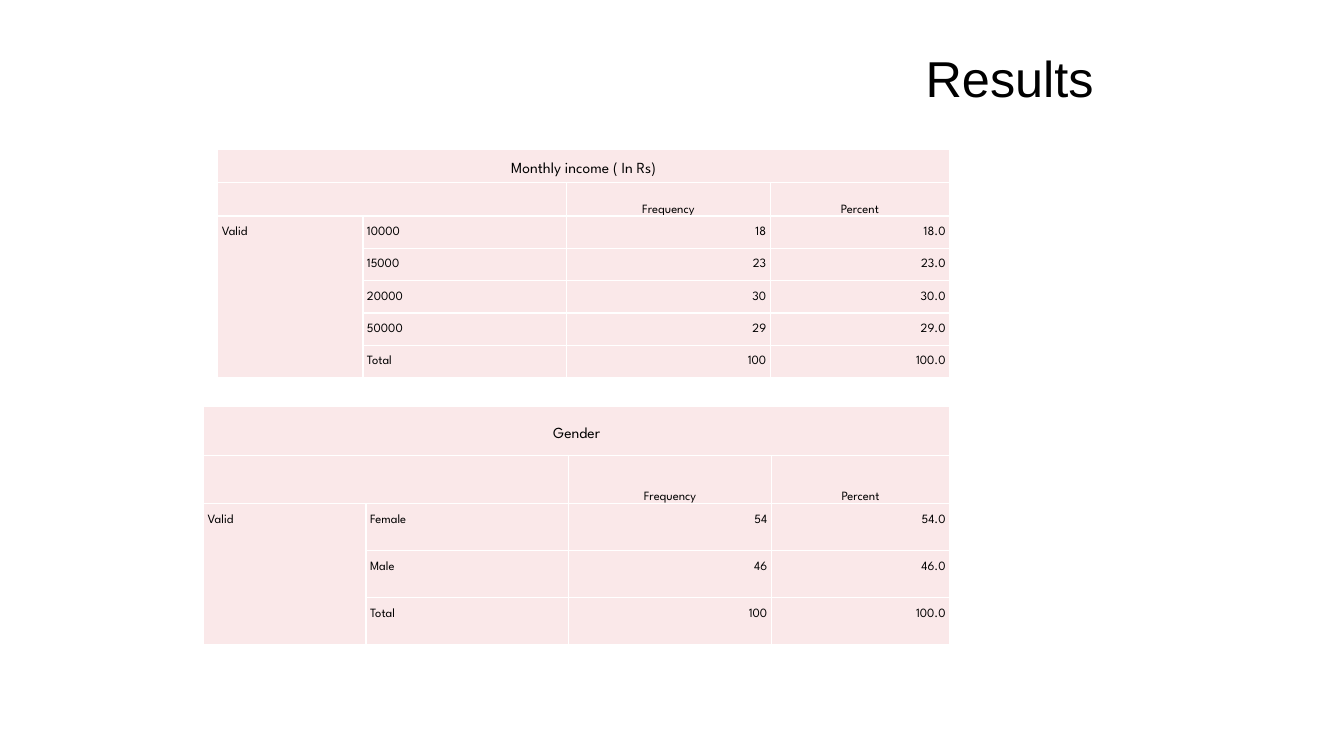
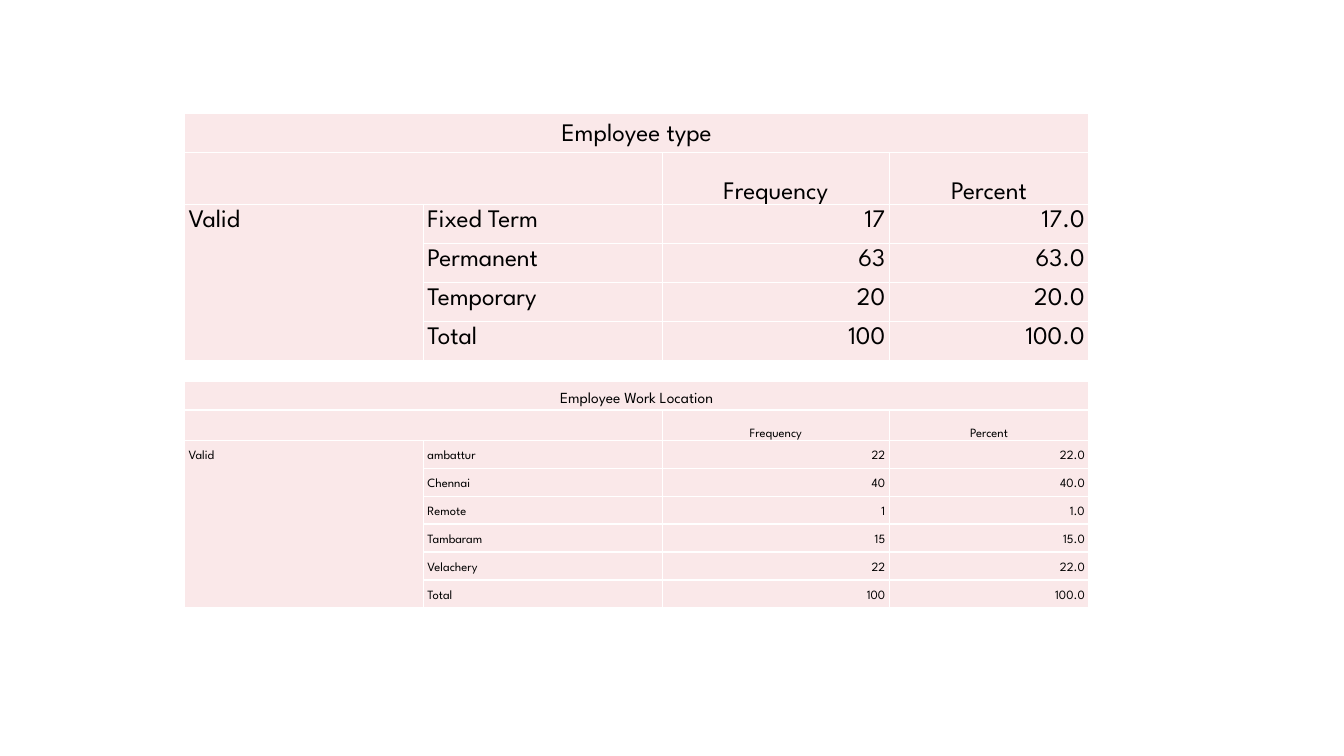
from lxml import etree
from pptx import Presentation
from pptx.dml.color import RGBColor
from pptx.enum import text
from pptx.oxml import ns
from pptx.util import Inches, Pt

BLACK = RGBColor(0x00, 0x00, 0x00)
WHITE = RGBColor(0xFF, 0xFF, 0xFF)
PINK = RGBColor(0xFA, 0xE8, 0xE9)
TABLE_FONT, TITLE_FONT = "League Spartan", "Arial"
TITLE_AREA = (9.08, 0.41, 3.24, 0.71)
CELL_INDENT = Inches(0.04)
MIN_LINE_PITCH, LEADING = 16, 2
LEFT, CENTER, RIGHT = (text.PP_ALIGN.LEFT, text.PP_ALIGN.CENTER, text.PP_ALIGN.RIGHT)
TOP, MIDDLE, BOTTOM = (text.MSO_ANCHOR.TOP, text.MSO_ANCHOR.MIDDLE, text.MSO_ANCHOR.BOTTOM)

WIDE_COLUMNS = (2.37, 2.37, 2.25, 1.98)

# Row weights (caption, header, each body row) share out the table height.
SLIDES = [
    {"title": "Results", "tables": [
        {"caption": "Gender", "at": (2.02, 4.03), "height": 2.37,
         "columns": (1.61, 2.01, 2.01, 1.77), "rows": (0.49, 0.48, 0.47),
         "sizes": (11, 9), "counts": {"Female": 54, "Male": 46}},
        {"caption": "Monthly income ( In Rs)", "at": (2.16, 1.48), "height": 2.27,
         "columns": (1.44, 2.02, 2.02, 1.78), "rows": (0.33, 0.33, 0.32),
         "sizes": (11, 9),
         "counts": {"10000": 18, "15000": 23, "20000": 30, "50000": 29}},
    ]},
    {"title": None, "tables": [
        {"caption": "Employee type", "at": (1.83, 1.13), "height": 2.45,
         "columns": WIDE_COLUMNS, "rows": (0.39, 0.52, 0.39), "sizes": (18, 18),
         "counts": {"Fixed Term": 17, "Permanent": 63, "Temporary": 20}},
        {"caption": "Employee Work Location", "at": (1.83, 3.78), "height": 2.24,
         "columns": WIDE_COLUMNS, "rows": (0.29, 0.29, 0.28), "sizes": (11, 9),
         "counts": {"ambattur": 22, "Chennai": 40, "Remote": 1,
                    "Tambaram": 15, "Velachery": 22}},
    ]},
]


def set_format(target, values):
    for name, value in values.items():
        setattr(target, name, value)


def add_borders(cell):
    properties = cell._tc.get_or_add_tcPr()
    for side in ("a:lnL", "a:lnR", "a:lnT", "a:lnB"):
        line = etree.SubElement(properties, ns.qn(side), w=str(Pt(1)))
        fill = etree.SubElement(line, ns.qn("a:solidFill"))
        etree.SubElement(fill, ns.qn("a:srgbClr"), val=str(WHITE))


def style_cell(cell, content, size, align, anchor):
    add_borders(cell)
    cell.fill.solid()
    cell.fill.fore_color.rgb = PINK
    set_format(cell, {"margin_left": 0, "margin_right": 0, "margin_top": 0,
                      "margin_bottom": 0, "vertical_anchor": anchor})
    para = cell.text_frame.paragraphs[0]
    line_pitch = Pt(max(MIN_LINE_PITCH, size + LEADING))
    set_format(para, {"alignment": align, "line_spacing": line_pitch})
    indents = para._p.get_or_add_pPr()
    for name in ("marL", "marR"):
        indents.set(name, str(CELL_INDENT))
    if content:
        span = para.add_run()
        span.text = content
        set_format(span.font, {"name": TABLE_FONT, "size": Pt(size), "bold": False})
        span.font.color.rgb = BLACK


def frequency_rows(caption, counts):
    """Return the cell texts, with percentages and a total worked out."""
    total = sum(counts.values())
    body = [["", label, str(count), f"{100 * count / total:.1f}"]
            for label, count in [*counts.items(), ("Total", total)]]
    body[0][0] = "Valid"
    return [[caption, "", "", ""], ["", "", "Frequency", "Percent"], *body]


def add_frequency_table(page, caption, at, height, columns, rows, sizes, counts):
    cells = frequency_rows(caption, counts)
    caption_weight, header_weight, body_weight = rows
    weights = [caption_weight, header_weight] + [body_weight] * (len(cells) - 2)
    area = [Inches(v) for v in (*at, sum(columns), height)]
    table = page.shapes.add_table(len(cells), len(columns), *area).table
    set_format(table, {"first_row": False, "horz_banding": False})
    for column, width in zip(table.columns, columns):
        column.width = Inches(width)
    for row, weight in zip(table.rows, weights):
        row.height = Inches(height * weight / sum(weights))

    caption_size, body_size = sizes
    for r, texts in enumerate(cells):
        for c, content in enumerate(texts):
            if r == 0:
                look = (caption_size, CENTER, MIDDLE)
            elif r == 1:
                look = (body_size, CENTER, BOTTOM)
            else:
                look = (body_size, LEFT if c < 2 else RIGHT, TOP)
            style_cell(table.cell(r, c), content, *look)

    last_row = len(cells) - 1
    for start, end in (((0, 0), (0, 3)), ((1, 0), (1, 1)), ((2, 0), (last_row, 0))):
        table.cell(*start).merge(table.cell(*end))


def format_title(title, content):
    left, top, width, height = (Inches(v) for v in TITLE_AREA)
    set_format(title, {"left": left, "top": top, "width": width, "height": height})
    frame = title.text_frame
    frame.text = content
    set_format(frame, {"word_wrap": True, "vertical_anchor": MIDDLE,
                       "auto_size": text.MSO_AUTO_SIZE.SHAPE_TO_FIT_TEXT})
    para = frame.paragraphs[0]
    para.alignment = LEFT
    font = para.runs[0].font
    set_format(font, {"name": TITLE_FONT, "size": Pt(36)})
    font.color.rgb = BLACK


def main():
    deck = Presentation()
    set_format(deck, {"slide_width": Inches(13.33), "slide_height": Inches(7.5)})
    title_only, blank = deck.slide_layouts[5], deck.slide_layouts[6]
    for content in SLIDES:
        page = deck.slides.add_slide(title_only if content["title"] else blank)
        for table in content["tables"]:
            add_frequency_table(page, **table)
        if content["title"]:
            format_title(page.shapes.title, content["title"])
    deck.save("out.pptx")


if __name__ == "__main__":
    main()
